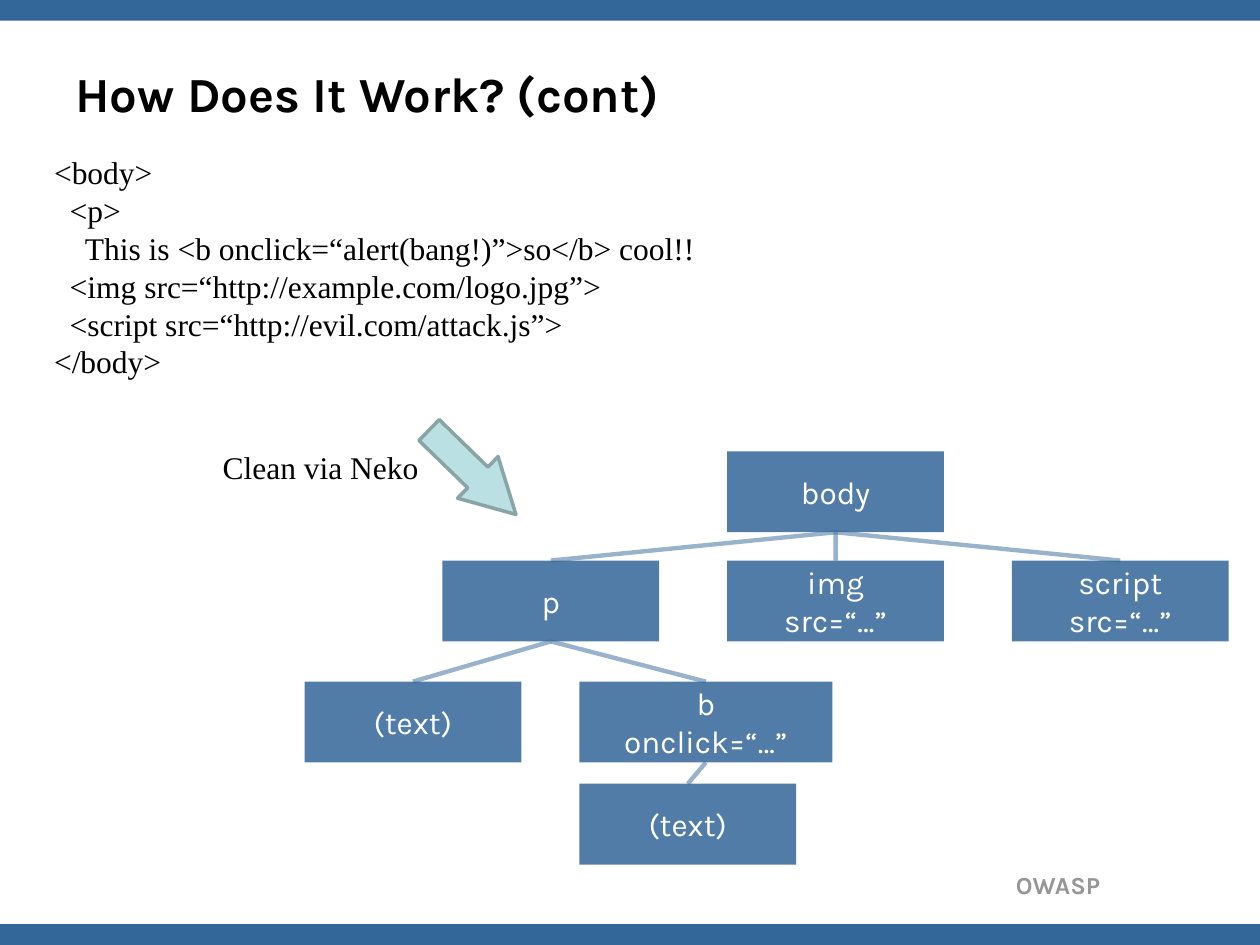
"""Build the slide that shows an HTML snippet being cleaned into a node tree."""
from lxml import etree
from pptx import Presentation, util as u
from pptx.dml.color import RGBColor
from pptx.enum import shapes, text
from pptx.oxml.ns import qn

COLORS = {"blue": "336699", "white": "FFFFFF", "black": "000000",
          "gray": "969696", "aqua": "BBE0E3", "edge": "89A4A7"}
TITLE = "How Does It Work? (cont)"
FOOTER = "OWASP"
STEP = "Clean via Neko"
CODE = [
    "<body>",
    "  <p>",
    "    This is <b onclick=“alert(bang!)”>so</b> cool!!",
    "  <img src=“http://example.com/logo.jpg”>",
    "  <script src=“http://evil.com/attack.js”>",
    "</body>",
]
COL, PITCH = 8.92, 5.74
NODE_W, NODE_H = 4.37, 1.63
ROWS = [9.1, 11.3, 13.74, 15.8]
NODES = {
    "body": (["body"], COL + PITCH, 0, NODE_W),
    "p": (["p"], COL, 1, NODE_W),
    "img": (["img", "src=“…”"], COL + PITCH, 1, NODE_W),
    "script": (["script", "src=“…”"], COL + 2 * PITCH, 1, NODE_W),
    "p_text": (["(text)"], 6.14, 2, NODE_W),
    "b": (["b", "onclick=“…”"], 11.68, 2, 5.1),
    "b_text": (["(text)"], 11.68, 3, NODE_W),
}
EDGES = [("body", "p"), ("body", "img"), ("body", "script"),
         ("p", "p_text"), ("p", "b"), ("b", "b_text")]


def rgb(name):
    return RGBColor.from_string(COLORS[name])


def set_alpha(sp, percent):
    clr = next(sp._element.spPr.iter(qn("a:srgbClr")))
    etree.SubElement(clr, qn("a:alpha")).set("val", str(percent * 1000))


def write(sp, lines, font="Karla", size=18, color="black", bold=False,
          align="LEFT", anchor="TOP", wrap=True, spacing=None):
    tf = sp.text_frame
    tf.word_wrap = wrap
    tf.vertical_anchor = getattr(text.MSO_ANCHOR, anchor)
    for i, line in enumerate(lines):
        p = tf.paragraphs[0] if i == 0 else tf.add_paragraph()
        p.alignment = getattr(text.PP_ALIGN, align)
        p.line_spacing = spacing
        r = p.add_run()
        r.text = line
        r.font.name, r.font.size, r.font.bold = font, u.Pt(size), bold
        r.font.color.rgb = rgb(color)


def add_text(s, box, lines, **fmt):
    write(s.shapes.add_textbox(*map(u.Cm, box)), lines, **fmt)


def add_box(parent, box, fill, kind=shapes.MSO_SHAPE.RECTANGLE):
    sp = parent.add_shape(kind, *map(u.Cm, box))
    sp.shadow.inherit = False
    sp.fill.solid()
    sp.fill.fore_color.rgb = rgb(fill)
    sp.line.fill.background()
    return sp


def add_tree(s):
    tree = s.shapes.add_group_shape().shapes
    boxes = {}
    for key, (lines, x, row, w) in NODES.items():
        sp = boxes[key] = add_box(tree, (x, ROWS[row], w, NODE_H), "blue")
        set_alpha(sp, 85)
        write(sp, lines, color="white", align="CENTER", anchor="MIDDLE",
              spacing=u.Pt(21.6))
    for parent, child in EDGES:
        cx = tree.add_connector(shapes.MSO_CONNECTOR.STRAIGHT, 0, 0, 0, 0)
        cx.begin_connect(boxes[parent], 2)
        cx.end_connect(boxes[child], 0)
        cx.line.width = u.Pt(2.5)
        cx.line.color.rgb = rgb("blue")
        set_alpha(cx, 50)
        etree.SubElement(cx._element.spPr, qn("a:effectLst"))


def main():
    prs = Presentation()
    prs.slide_width, prs.slide_height = u.Cm(25.4), u.Cm(19.05)
    s = prs.slides.add_slide(prs.slide_layouts[6])
    for y in (0, 18.63):
        add_box(s.shapes, (0, y, 25.4, 0.42), "blue")
    add_text(s, (15.8, 17.42, 6.63, 0.86), [FOOTER], size=14, color="gray",
             bold=True, align="RIGHT")
    add_text(s, (1.27, 0.76, 22.86, 2.21), [TITLE], size=28, bold=True,
             anchor="MIDDLE")
    add_tree(s)
    add_text(s, (0.84, 2.97, 14.4, 4.83), CODE, font="Times New Roman",
             spacing=u.Pt(21.6))
    arrow = add_box(s.shapes, (8.94, 8.3, 1.17, 2.44), "aqua",
                    shapes.MSO_SHAPE.DOWN_ARROW)
    arrow.adjustments[0], arrow.adjustments[1] = 0.5, 0.915
    arrow.rotation = 314.2
    arrow.line.color.rgb = rgb("edge")
    arrow.line.width = u.Pt(2)
    add_text(s, (4.24, 8.9, 4.62, 1.02), [STEP], font="Times New Roman",
             wrap=False, spacing=u.Pt(21.6))
    prs.save("out.pptx")


if __name__ == "__main__":
    main()
